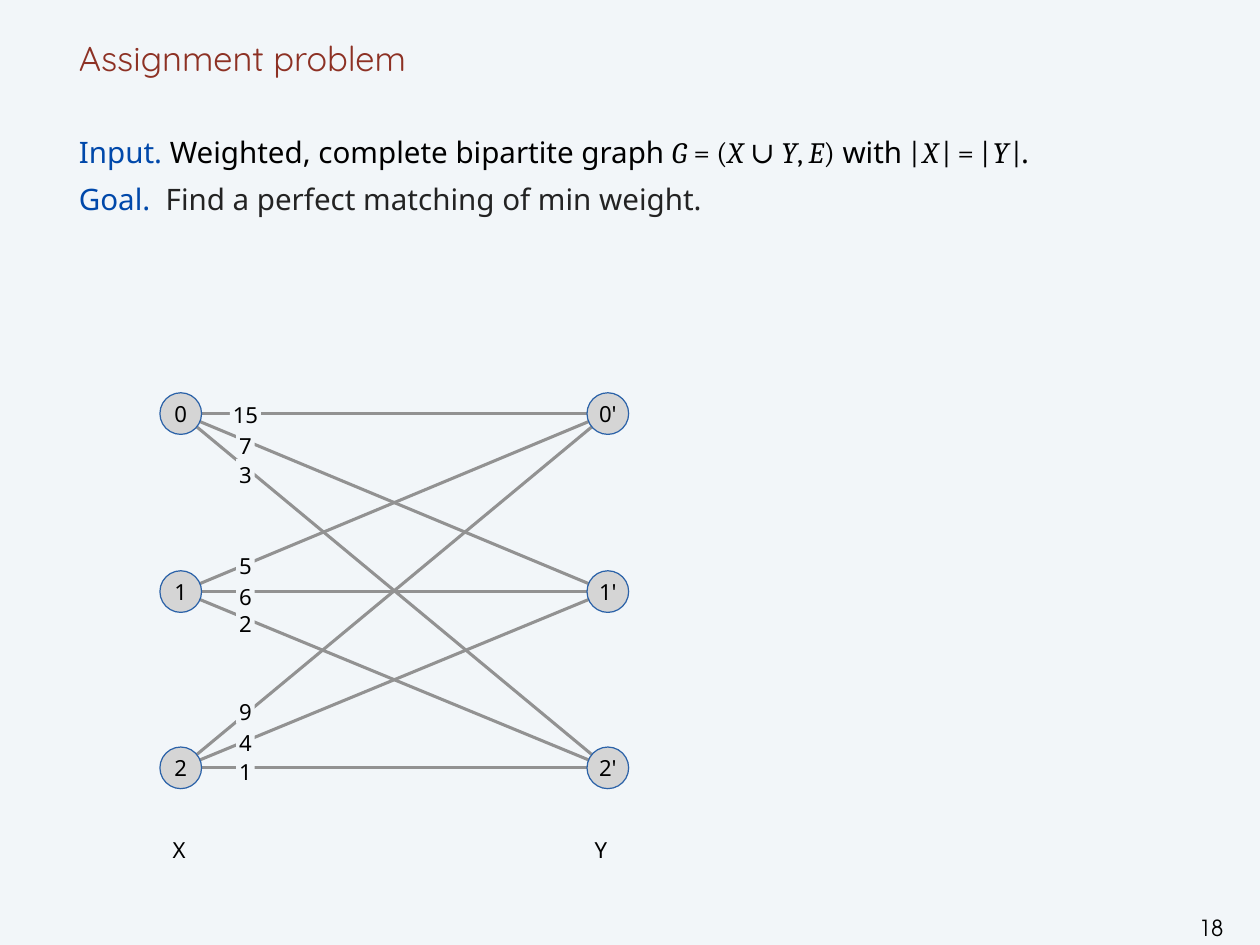
from dataclasses import dataclass
from itertools import product

from pptx import Presentation
from pptx.dml.color import RGBColor
from pptx.enum.shapes import MSO_CONNECTOR, MSO_SHAPE
from pptx.enum.text import MSO_ANCHOR, MSO_AUTO_SIZE, PP_ALIGN
from pptx.oxml.ns import qn
from pptx.util import Inches, Pt

TEXT_FONT, MATH_FONT = "Noto Sans", "Cambria"
BLACK, BLUE, NODE_FILL, EDGE, PAPER = "000000", "0048AA", "D5D5D5", "929292", "F2F6F9"
NODE_SIZE = 0.47


@dataclass
class Node:
    label: str
    x: float
    y: float


@dataclass
class Weight:
    value: str
    top: float


def rgb(color: str) -> RGBColor:
    return RGBColor.from_string(color)


def add_run(p, text: str, *, size=24, font=TEXT_FONT, color=BLACK, italic=False) -> None:
    r = p.add_run()
    r.text = text
    r.font.size, r.font.name, r.font.italic = Pt(size), font, italic
    r.font.color.rgb = rgb(color)


def set_frame(tf, *, inset=0.0, wrap=False, anchor=MSO_ANCHOR.TOP, grow=False) -> None:
    tf.margin_left = tf.margin_right = tf.margin_top = tf.margin_bottom = Inches(inset)
    tf.word_wrap, tf.vertical_anchor = wrap, anchor
    tf.auto_size = MSO_AUTO_SIZE.SHAPE_TO_FIT_TEXT if grow else MSO_AUTO_SIZE.NONE


def add_text(s, text: str, box: tuple, *, size=18, font=TEXT_FONT, color=BLACK,
             align=PP_ALIGN.CENTER, spacing=None, **frame) -> None:
    tf = s.shapes.add_textbox(*map(Inches, box)).text_frame
    set_frame(tf, **frame)
    p = tf.paragraphs[0]
    p.alignment, p.line_spacing = align, spacing
    add_run(p, text, size=size, font=font, color=color)


def add_labelled_shape(s, kind, text: str, box: tuple, fill: str, outline=None, **frame) -> None:
    sp = s.shapes.add_shape(kind, *map(Inches, box))
    sp.shadow.inherit = False
    sp.fill.solid()
    sp.fill.fore_color.rgb = rgb(fill)
    if outline:
        sp.line.color.rgb = rgb(outline)
        sp.line.width = Pt(1)
    else:
        sp.line.fill.background()
    set_frame(sp.text_frame, **frame)
    p = sp.text_frame.paragraphs[0]
    p.alignment = PP_ALIGN.CENTER
    add_run(p, text, size=18)


def add_edge(s, start: Node, end: Node) -> None:
    ends = map(Inches, (start.x, start.y, end.x, end.y))
    line = s.shapes.add_connector(MSO_CONNECTOR.STRAIGHT, *ends)
    line.line.color.rgb = rgb(EDGE)
    line.line.width = Pt(2.5)
    pr = line._element.spPr
    pr.append(pr.makeelement(qn("a:effectLst"), {}))


def add_node(s, node: Node) -> None:
    box = (node.x - NODE_SIZE / 2, node.y - NODE_SIZE / 2, NODE_SIZE, NODE_SIZE)
    add_labelled_shape(s, MSO_SHAPE.OVAL, node.label, box, NODE_FILL, "2B62A8",
                       wrap=True, anchor=MSO_ANCHOR.MIDDLE)


def add_weight(s, weight: Weight) -> None:
    width = 0.07 + 0.14 * len(weight.value)
    box = (2.77 - width / 2, weight.top, width, 0.31)
    add_labelled_shape(s, MSO_SHAPE.RECTANGLE, weight.value, box, PAPER, inset=0.03, grow=True)


prs = Presentation()
prs.slide_width, prs.slide_height = Inches(14.22), Inches(10.67)
s = prs.slides.add_slide(prs.slide_layouts[6])
s.background.fill.solid()
s.background.fill.fore_color.rgb = rgb(PAPER)

# Page number and title
add_text(s, "18", (13.37, 10.39, 0.6, 0.28), font="TeX Gyre Adventor",
         spacing=Pt(14), inset=0.04, wrap=True)
add_text(s, "Assignment problem", (0.89, 0, 12.44, 0.89), size=28, font="Quicksand",
         color="8D3124", align=PP_ALIGN.LEFT, spacing=Pt(38), wrap=True,
         anchor=MSO_ANCHOR.BOTTOM)

# Problem statement
heading, math = {"color": BLUE}, {"font": MATH_FONT}
variable = {"font": MATH_FONT, "italic": True}
thin_gap = (" ", {"font": MATH_FONT, "size": 12})
statement = [
    [("Input. ", heading), ("Weighted, complete bipartite graph ", {}),
     ("G", variable), (" = (", math), ("X", variable), (" ∪ ", math), ("Y", variable),
     (", ", math), ("E", variable), (")", math), (" with ", {}),
     ("|", math), thin_gap, ("X", variable), thin_gap, ("| = |", math),
     thin_gap, ("Y", variable), thin_gap, ("|", math), (".", {})],
    [("Goal.  ", heading), ("Find a perfect matching of min weight.", {"color": "232323"})],
]
tf = s.shapes.add_textbox(*map(Inches, (0.89, 1.39, 12.44, 8.94))).text_frame
set_frame(tf, wrap=True)
for i, runs in enumerate(statement):
    p = tf.add_paragraph() if i else tf.paragraphs[0]
    p.line_spacing = Pt(38)
    for text, style in runs:
        add_run(p, text, **style)

# Complete bipartite graph
rows = (4.67, 6.68, 8.67)
left = [Node(f"{i}", 2.04, y) for i, y in enumerate(rows)]
right = [Node(f"{i}'", 6.86, y) for i, y in enumerate(rows)]
for start, end in product(left, right):
    add_edge(s, start, end)
for node in left + right:
    add_node(s, node)

# Edge weights, by left node
weights = [
    Weight("15", 4.5), Weight("7", 4.85), Weight("3", 5.18),
    Weight("5", 6.21), Weight("6", 6.56), Weight("2", 6.86),
    Weight("9", 7.86), Weight("4", 8.21), Weight("1", 8.53),
]
for weight in weights:
    add_weight(s, weight)

# Names of the two sides
for name, x in (("X", 1.93), ("Y", 6.69)):
    add_text(s, name, (x, 9.35, 0.18, 0.29), spacing=1.3, grow=True)

prs.save("out.pptx")
